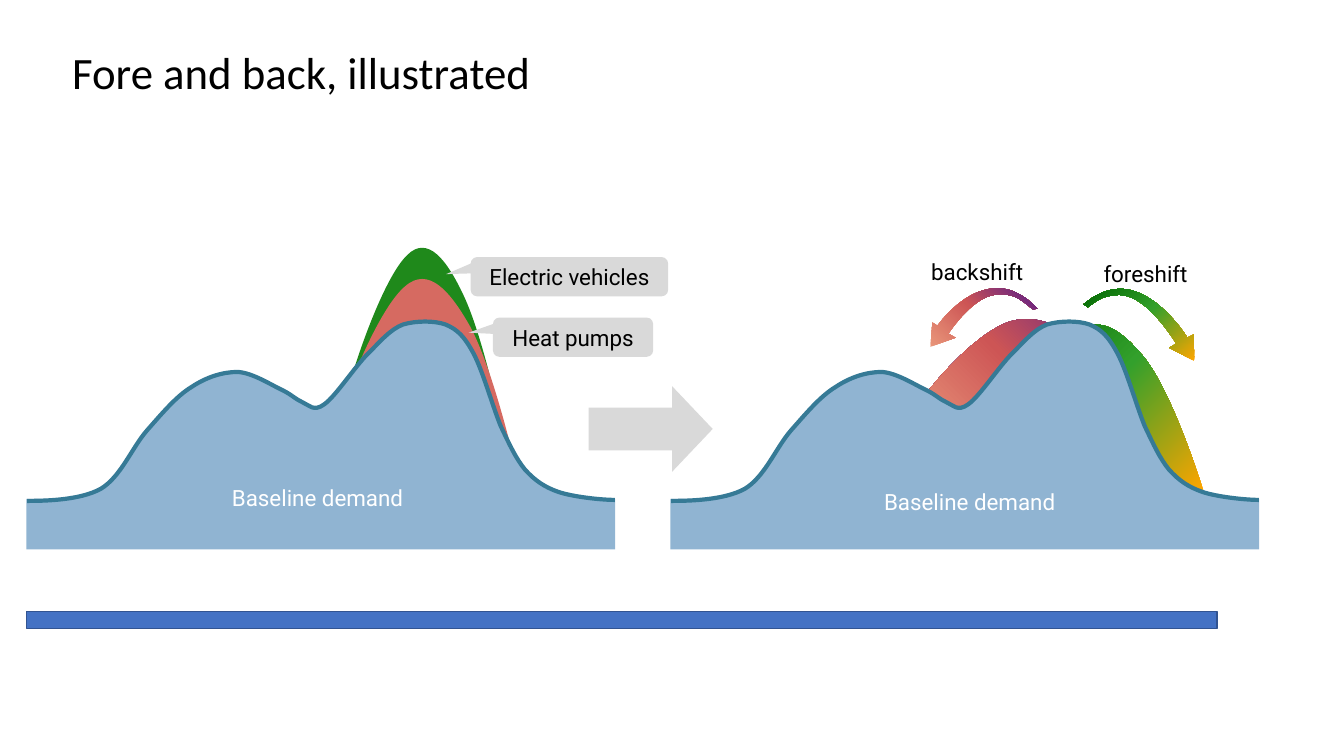
"""Builds the slide that illustrates fore- and backshift of electricity demand."""
import pptx
import pptx.dml.color
import pptx.enum.shapes
import pptx.enum.text
import pptx.oxml
import pptx.oxml.ns
import pptx.util
from lxml import etree

COLORS = {
    "white": "FFFFFF", "black": "000000", "vehicles": "1F891B", "pumps": "D66A61",
    "demand": "90B4D2", "outline": "367A96", "grey": "D9D9D9",
    "bar": "4472C4", "bar_line": "325491",
    "orange": "FFA500", "green": "33A02C", "dark_green": "006400",
    "salmon": "E9967A", "red": "CD5555", "purple": "551A8B",
}
FORE_STOPS = ((0, "orange"), (52, "green"), (100, "dark_green"))
BACK_STOPS = ((0, "salmon"), (48, "red"), (100, "purple"))
CORNER = '<a:path path="circle"><a:fillToRect l="0" t="100000" r="100000" b="0"/></a:path>'

PANEL_SHIFT = 460
TITLE = ("Fore and back, illustrated", 36.7, 26.6, 357.1, 49)
BASE = (18.9, 356.4, 420.5, 36)
BAR = (18.9, 437, 850.3, 11.8)
BIG_ARROW = (420.5, 275.8, 88.6, 61.2)

LABELS = [
    ("Baseline demand", 142.6, 337.7, 168.5, 35.3, "white", None, (-0.213, 0.188)),
    ("Baseline demand", 608.4, 340.6, 168.5, 35.3, "white", None, (-0.213, 0.188)),
    ("Heat pumps", 352.1, 226.8, 114.5, 28.1, "black", "grey", (-0.652, -0.115)),
    ("Electric vehicles", 336.2, 183.6, 141.1, 28.1, "black", "grey", (-0.624, -0.066)),
    ("foreshift", 751, 178.6, 134.6, 33.8, "black", None, (-0.213, 0.188)),
    ("backshift", 630.7, 180, 134.6, 28.1, "black", None, (-0.213, 0.188)),
]

DEMAND_CURVE = [
    (19.4, 357.8), (33.8, 357.8), (57.6, 357.1), (72, 349.2),
    (86.4, 340.6), (94.3, 319.7), (105.1, 307.4), (115.9, 295.2), (126, 283), (136.8, 276.5),
    (147.6, 269.3), (159.1, 265.7), (169.9, 265.7), (180.7, 266.4), (193.7, 275), (201.6, 278.6),
    (208.8, 282.2), (211, 285.1), (216, 287.3), (221, 289.4), (223.9, 294.5), (231.8, 288.7),
    (239.8, 283), (253.4, 262.1), (262.8, 252.7), (272.2, 243.4), (278.6, 235.4), (288, 231.8),
    (297.4, 229), (310.3, 229), (318.2, 231.8), (326.9, 235.4), (331.9, 240.5), (338.4, 252.7),
    (344.9, 265), (352.1, 290.9), (357.8, 304.6), (364.3, 318.2), (368.6, 327.6), (375.1, 335.5),
    (382.3, 343.4), (388.8, 347.8), (398.9, 351.4), (409.7, 355), (429.8, 357.1), (439.2, 357.1),
]
VEHICLES_CURVE = [
    (242.6, 298.8), (255.6, 249.1), (275.8, 196.6), (290.9, 182.2), (305.3, 167.8),
    (319, 185), (331.2, 211), (343.4, 236.9), (355, 286.6), (365.8, 336.2),
]
PUMPS_CURVE = [
    (235.4, 318.2), (249.8, 269.3), (272.9, 218.2), (289.4, 204.5), (306, 190.1),
    (321.1, 207.4), (335.5, 232.6), (349.2, 257.8), (362.2, 306), (373.7, 355),
]
FORE_CURVE = [
    (711.4, 322.6), (727.2, 285.1), (751.7, 247), (769.7, 236.2), (787.7, 224.6),
    (803.5, 238.3), (818.6, 257), (833, 276.5), (847.4, 313.2), (859.7, 350.6),
]
BACK_CURVE = [
    (653, 293), (671, 266.4), (699.1, 238.3), (719.3, 230.4), (739.4, 223.2),
    (758.2, 232.6), (774.7, 246.2), (792, 259.9), (807.8, 286.6), (821.5, 313.2),
]
ARROW_STEPS = "CCCLLLLCCC"
BACK_ARROW = [
    (738, 221), (733, 217.4), (729.4, 213.8), (724.3, 211.7), (719.3, 210.2), (714.2, 209.5),
    (708.5, 211), (692.6, 214.6), (677.5, 238.3), (677.5, 238.3),
    (682.6, 241.2), (664.6, 247.7), (666, 230.4), (669.6, 232.6),
    (669.6, 232.6), (685.4, 210.2), (705.6, 206.6), (717.8, 203.8), (730.1, 208.8),
    (740.9, 220.3), (740.9, 220.3), (738.7, 221), (738, 221),
]
FORE_ARROW = [
    (776.9, 219.6), (781.9, 216), (786.2, 212.4), (791.3, 211.7), (797, 210.2), (802.1, 210.2),
    (807.8, 212.4), (824.4, 218.9), (840.2, 245.5), (840.2, 245.5),
    (835.2, 248.4), (853.2, 257.8), (852.5, 239), (848.2, 241.2),
    (848.2, 241.2), (832.3, 215.3), (810.7, 208.1), (798.5, 203.8), (785.5, 207.4),
    (774, 217.4), (774, 217.4), (776.9, 218.9), (776.9, 219.6),
]

SHAPES = pptx.enum.shapes.MSO_SHAPE
qn = pptx.oxml.ns.qn


def rgb(name):
    """Return the named colour."""
    return pptx.dml.color.RGBColor.from_string(COLORS[name])


def paint(shape, fill=None, line=None, weight=1):
    """Set fill and outline and drop the shadow."""
    shape.shadow.inherit = False
    if fill:
        shape.fill.solid()
        shape.fill.fore_color.rgb = rgb(fill)
    else:
        shape.fill.background()
    if line:
        shape.line.color.rgb = rgb(line)
        shape.line.width = pptx.util.Pt(weight)
    else:
        shape.line.fill.background()


def add_preset(slide, kind, box, fill=None, line=None):
    """Add a preset shape at a box given in points."""
    shape = slide.shapes.add_shape(kind, *map(pptx.util.Pt, box))
    paint(shape, fill, line)
    return shape


def write(shape, text, size, font, color):
    """Put one centred line of text into a shape."""
    frame = shape.text_frame
    frame.word_wrap = True
    frame.vertical_anchor = pptx.enum.text.MSO_ANCHOR.MIDDLE
    frame.margin_left = frame.margin_right = frame.margin_top = frame.margin_bottom = 0
    paragraph = frame.paragraphs[0]
    paragraph.text = text
    paragraph.alignment = pptx.enum.text.PP_ALIGN.CENTER
    paragraph.font.size = pptx.util.Pt(size)
    paragraph.font.name = font
    paragraph.font.color.rgb = rgb(color)


def add_outline(slide, points, fill=None, line=None, weight=1, steps=None):
    """Add a freeform whose steps are curves (C) or straight lines (L)."""
    corners = [(pptx.util.Pt(x), pptx.util.Pt(y)) for x, y in points]
    builder = slide.shapes.build_freeform(*corners[0])
    builder.add_line_segments(corners[1:], close=steps is not None)
    shape = builder.convert_to_shape()
    segments = iter(list(shape._element.iter(qn("a:lnTo"))))
    for step in steps or "C" * (len(points) // 3):
        segment = next(segments)
        if step == "C":
            segment.tag = qn("a:cubicBezTo")
            for extra in (next(segments), next(segments)):
                segment.append(extra[0])
                extra.getparent().remove(extra)
    paint(shape, fill, line, weight)
    return shape


def add_gradient(shape, stops, direction):
    """Replace the fill of a shape by a gradient."""
    marks = "".join(
        f'<a:gs pos="{position * 1000}"><a:srgbClr val="{COLORS[name]}"/></a:gs>'
        for position, name in stops)
    if direction != CORNER:
        direction = f'<a:lin ang="{direction * 60000}" scaled="0"/>'
    gradient = pptx.oxml.parse_xml(
        f'<a:gradFill {pptx.oxml.ns.nsdecls("a")} rotWithShape="1">'
        f'<a:gsLst>{marks}</a:gsLst>{direction}</a:gradFill>')
    properties = shape._element.spPr
    properties.replace(properties.find(qn("a:noFill")), gradient)


def add_demand(slide, shift):
    """Add the baseline demand of one panel."""
    left, *rest = BASE
    add_preset(slide, SHAPES.RECTANGLE, (left + shift, *rest), "demand")
    curve = [(x + shift, y) for x, y in DEMAND_CURVE]
    add_outline(slide, curve, "demand", "outline", 3)


def main():
    """Build and save the slide."""
    presentation = pptx.Presentation()
    presentation.slide_width = pptx.util.Pt(960)
    presentation.slide_height = pptx.util.Pt(540)
    slide = presentation.slides.add_slide(presentation.slide_layouts[6])

    title = add_preset(slide, SHAPES.RECTANGLE, TITLE[1:], "white")
    write(title, TITLE[0], 32, "Calibri", "black")
    add_outline(slide, VEHICLES_CURVE, "vehicles")
    add_outline(slide, PUMPS_CURVE, "pumps")
    add_demand(slide, 0)
    add_gradient(add_outline(slide, FORE_CURVE), FORE_STOPS, 225)
    add_gradient(add_outline(slide, BACK_CURVE), BACK_STOPS, CORNER)
    add_demand(slide, PANEL_SHIFT)

    big_arrow = add_preset(slide, SHAPES.RIGHT_ARROW, BIG_ARROW, "grey")
    big_arrow.adjustments[1] = 0.474
    for text, left, top, width, height, color, fill, tip in LABELS:
        label = add_preset(
            slide, SHAPES.ROUNDED_RECTANGULAR_CALLOUT, (left, top, width, height), fill)
        label.adjustments[0], label.adjustments[1] = tip
        write(label, text, 16, "Roboto", color)

    add_gradient(add_outline(slide, BACK_ARROW, steps=ARROW_STEPS), BACK_STOPS, 314)
    add_gradient(add_outline(slide, FORE_ARROW, steps=ARROW_STEPS), FORE_STOPS, 230)
    add_preset(slide, SHAPES.RECTANGLE, BAR, "bar", "bar_line")
    presentation.save("out.pptx")


if __name__ == "__main__":
    main()
